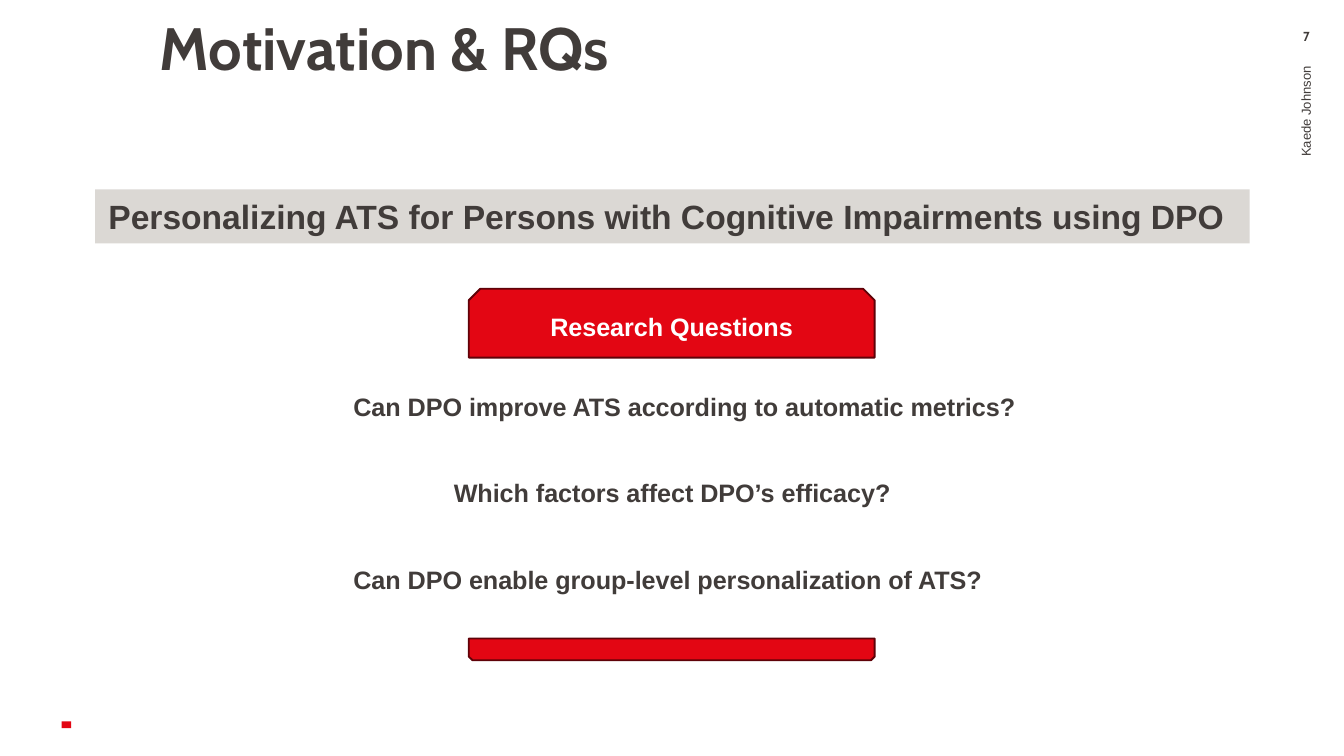
from dataclasses import dataclass

from pptx import Presentation
from pptx.dml.color import RGBColor as RGB
from pptx.enum.shapes import MSO_SHAPE as Shape
from pptx.enum.text import MSO_ANCHOR as Anchor, PP_ALIGN as Align
from pptx.util import Cm, Pt


@dataclass(frozen=True)
class Theme:
    red: RGB = RGB.from_string("E30613")
    dark_red: RGB = RGB.from_string("5F0208")
    ink: RGB = RGB.from_string("413C3A")
    stone: RGB = RGB.from_string("DBD8D4")
    white: RGB = RGB.from_string("FFFFFF")
    body_font: str = "Arial"
    head_font: str = "Cabin"
    title: float = 32
    banner: float = 18
    body: float = 13.5
    small: float = 7


theme = Theme()
prs = Presentation()
prs.slide_width, prs.slide_height = Cm(25.4), Cm(14.29)
slide = prs.slides.add_slide(prs.slide_layouts[6])


def add_block(kind, left, top, width, height, fill, line=None):
    block = slide.shapes.add_shape(kind, Cm(left), Cm(top), Cm(width), Cm(height))
    block.shadow.inherit = False
    block.fill.solid()
    block.fill.fore_color.rgb = fill
    if line is None:
        block.line.fill.background()
    else:
        block.line.color.rgb = line
        block.line.width = Pt(1)
    return block


def write(shape, text, size, color=theme.ink, font=theme.body_font, bold=True,
          align=Align.LEFT, anchor=Anchor.TOP, insets=(0.25, 0.13, 0.25, 0.13)):
    frame = shape.text_frame
    frame.word_wrap = True
    frame.vertical_anchor = anchor
    (frame.margin_left, frame.margin_top,
     frame.margin_right, frame.margin_bottom) = map(Cm, insets)
    frame.text = text
    paragraph = frame.paragraphs[0]
    paragraph.alignment = align
    style = paragraph.runs[0].font
    style.name, style.size, style.bold = font, Pt(size), bold
    style.color.rgb = color
    return paragraph


# Page furniture: corner mark, author and page number
corner_mark = add_block(Shape.RECTANGLE, 1.19, 13.61, 0.13, 0.18, theme.red)
corner_mark.rotation = 270

author = slide.shapes.add_textbox(Cm(19.76), Cm(5.21), Cm(9.83), Cm(1.42))
author.rotation = 270
write(author, "Kaede Johnson", theme.small, bold=False,
      align=Align.RIGHT, anchor=Anchor.MIDDLE)

page_number = slide.shapes.add_textbox(Cm(23.98), Cm(0.53), Cm(1.42), Cm(0.46))
write(page_number, "7", theme.small, font=theme.head_font,
      align=Align.CENTER, insets=(0.25, 0, 0.25, 0))

# Title
title = slide.shapes.add_textbox(Cm(2.51), Cm(0.36), Cm(10.19), Cm(2.97))
heading = write(title, "Motivation & RQs", theme.title, font=theme.head_font,
                insets=(0.51, 0, 0.2, 0.13))
heading.line_spacing = 0.9

# Topic banner
topic = add_block(Shape.RECTANGLE, 1.8, 3.58, 21.82, 1.02, theme.stone)
write(topic, "Personalizing ATS for Persons with Cognitive Impairments using DPO",
      theme.banner)

# Red caps above and below the questions
caps = []
for top, height, turn in [(5.46, 1.3, 0), (12.07, 0.41, 180)]:
    cap = add_block(Shape.SNIP_2_SAME_RECTANGLE, 8.86, top, 7.67, height,
                    theme.red, theme.dark_red)
    cap.rotation = turn
    caps.append(cap)
write(caps[0], "Research Questions", theme.body, theme.white,
      align=Align.CENTER, anchor=Anchor.MIDDLE)

# Research questions at equal steps
questions = [
    ("Can DPO improve ATS according to automatic metrics?", 6.43, 13.21, Align.LEFT),
    ("Which factors affect DPO’s efficacy?", 8.26, 8.89, Align.CENTER),
    ("Can DPO enable group-level personalization of ATS?", 6.43, 12.57, Align.LEFT),
]
for row, (wording, left, width, align) in enumerate(questions):
    question = slide.shapes.add_textbox(
        Cm(left), Cm(7.26 + 1.64 * row), Cm(width), Cm(0.84))
    write(question, wording, theme.body, align=align)

prs.save("out.pptx")
